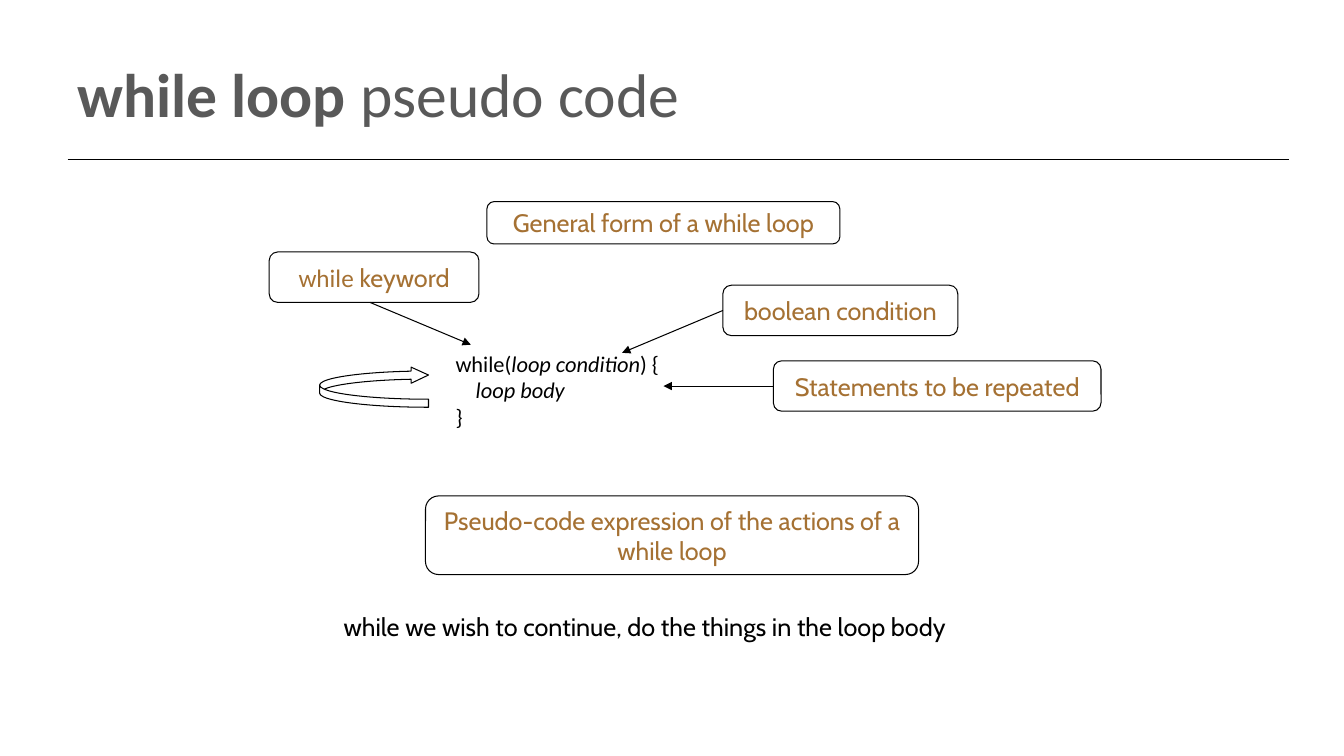
from lxml.etree import SubElement
from pptx import Presentation
from pptx.dml.color import RGBColor
from pptx.enum.shapes import MSO_CONNECTOR, MSO_SHAPE
from pptx.enum.text import MSO_ANCHOR, PP_ALIGN
from pptx.oxml.ns import qn
from pptx.util import Inches, Pt

BLACK, GREY, BROWN = "000000", "595959", "A57133"


def rgb(value):
    """Return the colour for a hex string."""
    return RGBColor.from_string(value)


def place(sp, box):
    """Move and size a shape to a box in inches."""
    sp.left, sp.top, sp.width, sp.height = map(Inches, box)


def write(sp, paragraphs, size=18, font="Cabin", color=BLACK,
          align=PP_ALIGN.LEFT, anchor=MSO_ANCHOR.TOP, wrap=True):
    """Write paragraphs of (text, overrides) runs with one shared format."""
    tf = sp.text_frame
    tf.word_wrap = wrap
    tf.vertical_anchor = anchor
    for i, runs in enumerate(paragraphs):
        p = tf.add_paragraph() if i else tf.paragraphs[0]
        p.alignment = align
        for text, style in runs:
            r = p.add_run()
            r.text = text
            r.font.size = Pt(size)
            r.font.name = style.get("font", font)
            r.font.bold = style.get("bold", False)
            r.font.italic = style.get("italic", False)
            r.font.color.rgb = rgb(color)


def add_text(s, box, paragraphs, **style):
    """Add a text box."""
    write(s.shapes.add_textbox(*map(Inches, box)), paragraphs, **style)


def add_outline(s, kind, box, adjustments):
    """Add an unfilled preset shape with a thin black outline."""
    sp = s.shapes.add_shape(kind, *map(Inches, box))
    for i, value in enumerate(adjustments):
        sp.adjustments[i] = value
    sp.shadow.inherit = False
    sp.fill.background()
    sp.line.color.rgb = rgb(BLACK)
    sp.line.width = Pt(0.75)
    return sp


def add_label(s, box, runs, wrap=False):
    """Add a rounded label with centred brown text."""
    sp = add_outline(s, MSO_SHAPE.ROUNDED_RECTANGLE, box, [0.167])
    write(sp, [runs], color=BROWN, align=PP_ALIGN.CENTER,
          anchor=MSO_ANCHOR.MIDDLE, wrap=wrap)


def add_line(s, start, end, width=0.75, arrow=True):
    """Add a straight black line, with an arrowhead at its end if wanted."""
    cx = s.shapes.add_connector(MSO_CONNECTOR.STRAIGHT, *map(Inches, start + end))
    cx.line.color.rgb = rgb(BLACK)
    cx.line.width = Pt(width)
    if arrow:
        SubElement(cx.line._get_or_add_ln(), qn("a:tailEnd"), type="triangle")
    SubElement(cx._element.spPr, qn("a:effectLst"))


def main():
    """Build the slide and save it."""
    prs = Presentation()
    prs.slide_width, prs.slide_height = Inches(13.33), Inches(7.5)
    s = prs.slides.add_slide(prs.slide_layouts[5])

    add_line(s, (0.67, 1.58), (12.78, 1.58), width=1, arrow=False)
    title = s.shapes.title
    place(title, (0.67, 0.3, 12, 1.25))
    write(title, [[("while loop ", {"bold": True}), ("pseudo code", {})]],
          size=44, font="Calibri", color=GREY, anchor=MSO_ANCHOR.MIDDLE)

    italic = {"italic": True}
    add_text(s, (4.42, 3.42, 3.5, 0.9),
             [[("while(", {}), ("loop condition", italic), (") {", {})],
              [("    ", {}), ("loop body", italic)],
              [("}", {})]], size=16, font="Calibri")
    add_text(s, (3.31, 6.02, 6.95, 0.4),
             [[("while we wish to continue, do the things in the loop body", {})]],
             wrap=False)

    add_label(s, (7.17, 2.83, 2.33, 0.5), [("boolean condition", {})])
    add_label(s, (2.67, 2.5, 2.08, 0.5),
              [("while ", {"font": "Calibri"}), ("keyword", {})])
    add_label(s, (7.67, 3.58, 3.25, 0.5), [("Statements to be repeated", {})])
    add_label(s, (4.22, 4.92, 4.89, 0.78),
              [("Pseudo-code expression of the actions of a while loop", {})],
              wrap=True)
    add_label(s, (4.83, 2, 3.5, 0.42), [("General form of a while loop", {})])

    add_line(s, (7.17, 3.08), (6.17, 3.5))
    add_line(s, (3.67, 3), (4.67, 3.42))
    add_line(s, (7.67, 3.83), (6.58, 3.83))

    loop_arrow = add_outline(s, MSO_SHAPE.CURVED_LEFT_ARROW,
                             (3.17, 3.64, 1.08, 0.4), [0.2, 0.4, 0.433])
    loop_arrow.rotation = 180

    prs.save("out.pptx")


if __name__ == "__main__":
    main()
